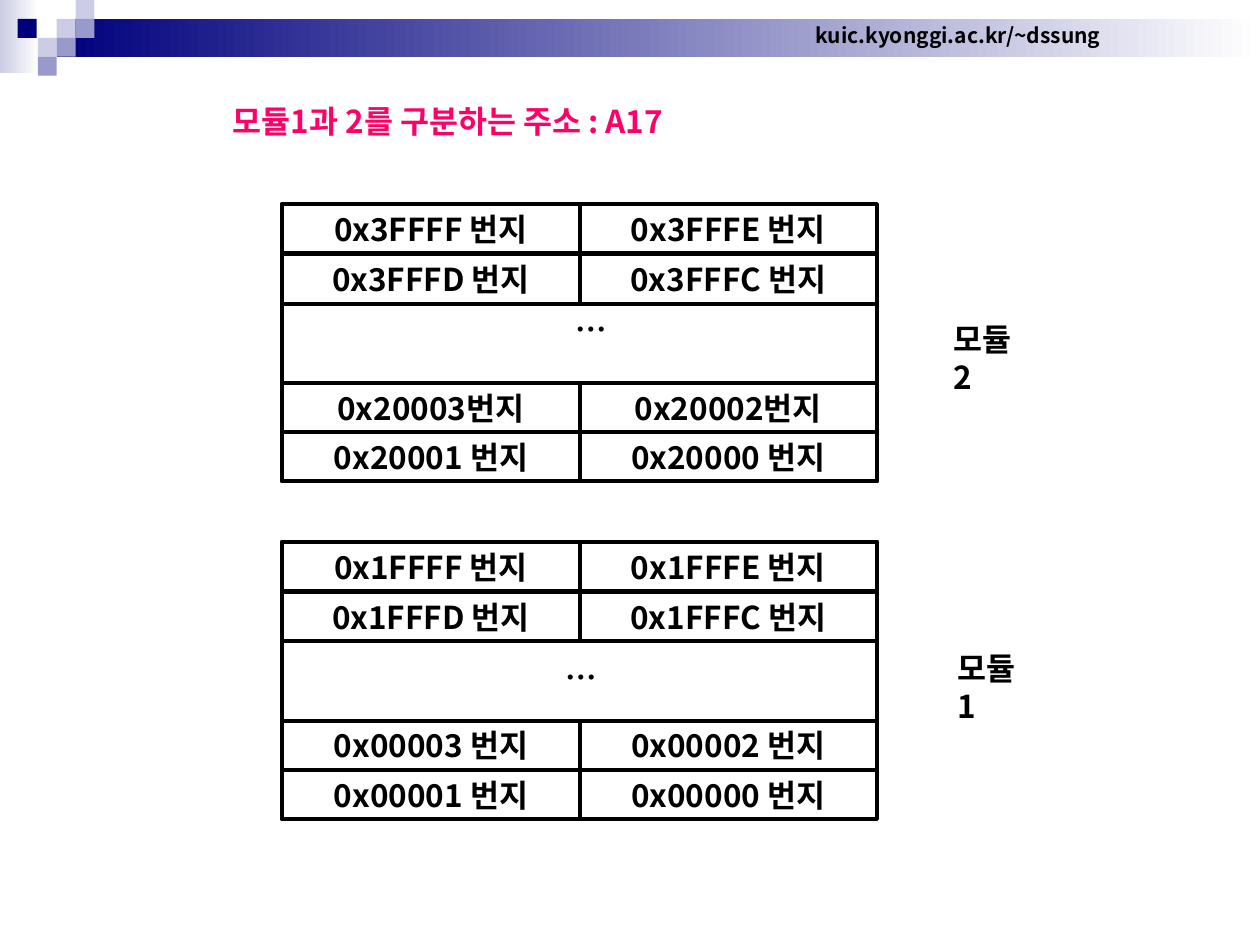
from lxml import etree
from pptx import Presentation
from pptx.dml.color import RGBColor
from pptx.enum import shapes, text
from pptx.oxml import ns
from pptx.util import Inches, Pt

COLORS = {
    "ink": "000000",
    "accent": "FF0066",
    "navy": "00007D",
    "violet": "9999CC",
    "lilac": "CCCCE6",
    "white": "FFFFFF",
}
FONT = "Noto Sans CJK KR"


def rgb(name):
    return RGBColor.from_string(COLORS[name])


def write(frame, words, size=18, color="ink", align=text.PP_ALIGN.LEFT,
          anchor=text.MSO_ANCHOR.TOP, wrap=False):
    frame.word_wrap = wrap
    frame.vertical_anchor = anchor
    paragraph = frame.paragraphs[0]
    paragraph.alignment = align
    run = paragraph.add_run()
    run.text = words
    run.font.size = Pt(size)
    run.font.bold = True
    run.font.name = FONT
    run.font.color.rgb = rgb(color)
    east_asian = etree.SubElement(run.font._element, ns.qn("a:ea"))
    east_asian.set("typeface", FONT)


def add_label(slide, box, words, **style):
    label = slide.shapes.add_textbox(*map(Inches, box))
    write(label.text_frame, words, **style)


def add_rect(slide, box):
    rect = slide.shapes.add_shape(shapes.MSO_SHAPE.RECTANGLE, *map(Inches, box))
    rect.shadow.inherit = False
    return rect


def add_outline(slide, box):
    outline = add_rect(slide, box)
    outline.fill.background()
    outline.line.color.rgb = rgb("ink")
    outline.line.width = Pt(2.25)
    return outline


def add_fade(slide, box, start, end):
    fade = add_rect(slide, box)
    fade.line.fill.background()
    fade.fill.gradient()
    fade.fill.gradient_angle = 0
    for stop, color, position in zip(fade.fill.gradient_stops, (start, end), (0, 1)):
        stop.color.rgb = rgb(color)
        stop.position = position


def add_header(slide, left, top, width):
    add_fade(slide, (left, top, 0.31, 0.58), "lilac", "white")
    add_fade(slide, (left + 0.45, top + 0.15, width - 0.45, 0.3), "navy", "white")
    side = 0.15
    mosaic = [
        (0.45, 1, "lilac"), (0.6, 0, "lilac"), (0.6, 1, "violet"),
        (0.3, 2, "lilac"), (0.14, 1, "navy"), (0.45, 2, "violet"),
        (0.3, 3, "violet"),
    ]
    for x, row, color in mosaic:
        tile = add_rect(slide, (left + x, top + row * side, side, side))
        tile.fill.solid()
        tile.fill.fore_color.rgb = rgb(color)
        tile.line.fill.background()
    add_label(slide, (left + 6.37, top + 0.13, 2.47, 0.3),
              "kuic.kyonggi.ac.kr/~dssung", size=12,
              align=text.PP_ALIGN.CENTER, anchor=text.MSO_ANCHOR.MIDDLE)


def add_memory_module(slide, left, top, width, height, addresses):
    add_outline(slide, (left, top, width, height))
    row_height = 0.39
    row_tops = (0, 0.4, height - 2 * row_height, height - row_height)
    for row_top, row in zip(row_tops, addresses):
        for column, address in enumerate(row):
            cell = add_outline(slide, (left + column * width / 2, top + row_top,
                                       width / 2, row_height))
            write(cell.text_frame, address, align=text.PP_ALIGN.CENTER,
                  anchor=text.MSO_ANCHOR.MIDDLE)


def main():
    deck = Presentation()
    deck.slide_width, deck.slide_height = Inches(10), Inches(7.5)
    slide = deck.slides.add_slide(deck.slide_layouts[6])

    add_header(slide, 0, 0, 10)
    add_memory_module(slide, 2.24, 4.3, 4.72, 2.2, [
        ("0x1FFFF 번지", "0x1FFFE 번지"),
        ("0x1FFFD 번지", "0x1FFFC 번지"),
        ("0x00003 번지", "0x00002 번지"),
        ("0x00001 번지", "0x00000 번지"),
    ])
    add_memory_module(slide, 2.24, 1.62, 4.72, 2.2, [
        ("0x3FFFF 번지", "0x3FFFE 번지"),
        ("0x3FFFD 번지", "0x3FFFC 번지"),
        ("0x20003번지", "0x20002번지"),
        ("0x20001 번지", "0x20000 번지"),
    ])
    add_label(slide, (4.39, 5.17, 0.41, 0.4), "…")
    add_label(slide, (4.47, 2.41, 0.41, 0.4), "…")
    add_label(slide, (7.5, 5.1, 0.7, 0.4), "모듈 1", wrap=True)
    add_label(slide, (7.47, 2.49, 0.7, 0.4), "모듈 2", wrap=True)
    add_label(slide, (1.75, 0.76, 3.9, 0.4), "모듈1과 2를 구분하는 주소 : A17",
              color="accent", wrap=True)
    deck.save("out.pptx")


if __name__ == "__main__":
    main()
